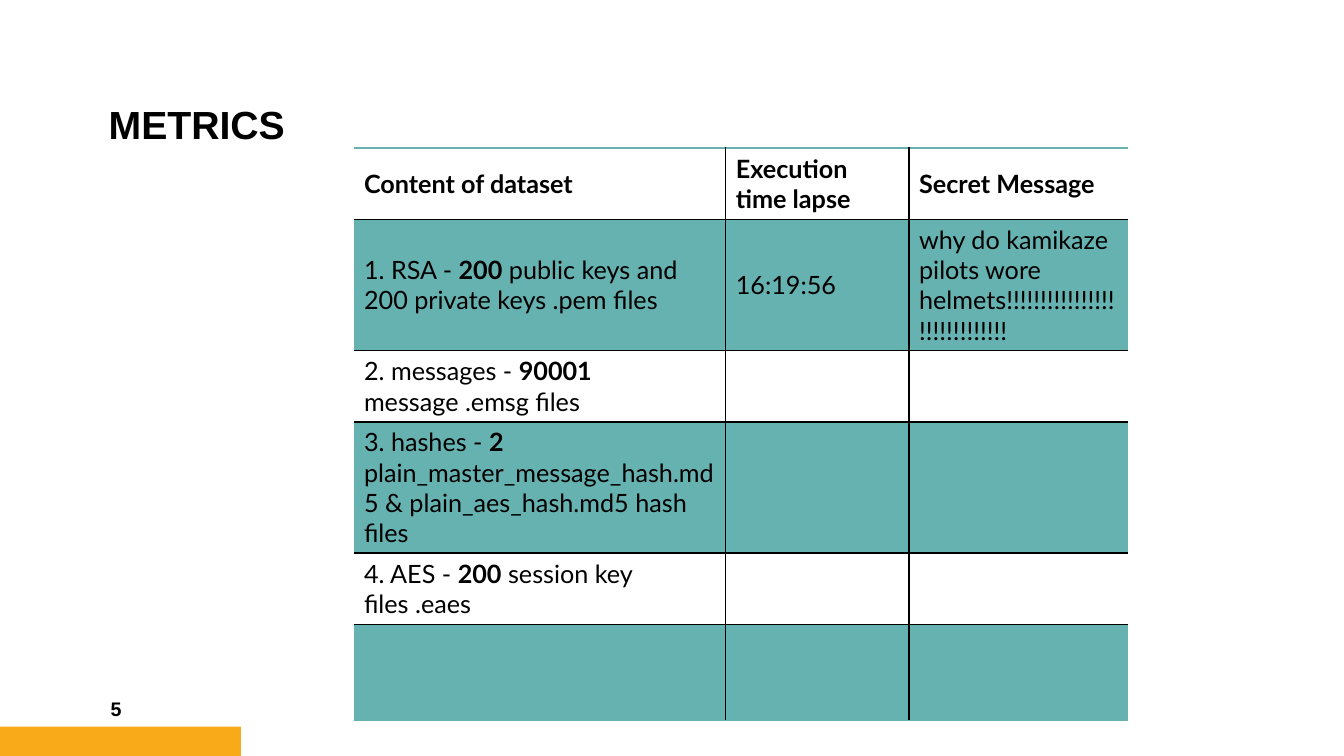
import pptx
import pptx.dml.color
import pptx.enum.shapes
import pptx.enum.text
import pptx.oxml
import pptx.oxml.ns
import pptx.util

Cm = pptx.util.Cm
Pt = pptx.util.Pt
RGBColor = pptx.dml.color.RGBColor
ANCHOR = pptx.enum.text.MSO_ANCHOR

BLACK = RGBColor(0x00, 0x00, 0x00)
ORANGE = RGBColor(0xF9, 0xAA, 0x19)
TEAL = RGBColor(0x66, 0xB2, 0xB0)

COLUMN_WIDTHS = [9.37, 4.62, 5.52]
ROW_HEIGHTS = [1.8, 3.3, 1.8, 3.3, 1.8, 2.41]

# Each cell is a list of (text, bold) runs.
METRICS = [
    [
        [("Content of dataset", True)],
        [("Execution time lapse", True)],
        [("Secret Message", True)],
    ],
    [
        [("1. RSA - ", False), ("200", True),
         (" public keys and 200 private keys .pem files", False)],
        [("16:19:56", False)],
        [("why do kamikaze pilots wore helmets!!!!!!!!!!!!!!!!!!!!!!!!!!!!!", False)],
    ],
    [[("2. messages - ", False), ("90001", True), (" message .emsg files", False)], [], []],
    [[("3. hashes - ", False), ("2", True),
      (" plain_master_message_hash.md5 & plain_aes_hash.md5 hash files", False)], [], []],
    [[("4. AES - ", False), ("200", True), (" session key files .eaes", False)], [], []],
    [[], [], []],
]


class MetricsSlide:
    heading_font = "Arial"
    table_font = "Lato"

    def __init__(self, presentation):
        self.slide = presentation.slides.add_slide(presentation.slide_layouts[6])

    def add_runs(self, paragraph, runs, font_name, size):
        for text, bold in runs:
            run = paragraph.add_run()
            run.text = text
            run.font.name = font_name
            run.font.size = Pt(size)
            run.font.bold = bold
            run.font.color.rgb = BLACK

    def bar(self, left, top, width, height, color):
        bar = self.slide.shapes.add_shape(
            pptx.enum.shapes.MSO_SHAPE.RECTANGLE, Cm(left), Cm(top), Cm(width), Cm(height))
        bar.shadow.inherit = False
        bar.fill.solid()
        bar.fill.fore_color.rgb = color
        bar.line.fill.background()

    def heading(self, text, left, top, width, height, size, anchor, line_spacing=1.0):
        frame = self.slide.shapes.add_textbox(
            Cm(left), Cm(top), Cm(width), Cm(height)).text_frame
        frame.word_wrap = True
        frame.vertical_anchor = anchor
        paragraph = frame.paragraphs[0]
        paragraph.line_spacing = line_spacing
        self.add_runs(paragraph, [(text, True)], self.heading_font, size)

    def border(self, cell, side, color):
        """Draw one side (L, R, T or B) of a cell, or clear it when color is None."""
        paint = (f'<a:solidFill><a:srgbClr val="{color}"/></a:solidFill>'
                 if color is not None else "<a:noFill/>")
        cell._tc.get_or_add_tcPr().append(pptx.oxml.parse_xml(
            f'<a:ln{side} {pptx.oxml.ns.nsdecls("a")} w="{Pt(1)}">{paint}</a:ln{side}>'))

    def tint(self, cell, color, opacity):
        cell.fill.solid()
        cell.fill.fore_color.rgb = color
        shade = cell._tc.tcPr.find(".//" + pptx.oxml.ns.qn("a:srgbClr"))
        shade.append(pptx.oxml.parse_xml(
            f'<a:alpha {pptx.oxml.ns.nsdecls("a")} val="{opacity * 1000}"/>'))

    def table(self, rows, left, top, widths, heights):
        table = self.slide.shapes.add_table(
            len(rows), len(widths), Cm(left), Cm(top),
            Cm(sum(widths)), Cm(sum(heights))).table
        table.first_row = False
        table.horz_banding = False
        for column, width in zip(table.columns, widths):
            column.width = Cm(width)
        for row, height in zip(table.rows, heights):
            row.height = Cm(height)

        last_row, last_column = len(rows) - 1, len(widths) - 1
        for r, row in enumerate(rows):
            for c, runs in enumerate(row):
                cell = table.cell(r, c)
                cell.vertical_anchor = ANCHOR.MIDDLE
                self.add_runs(cell.text_frame.paragraphs[0], runs, self.table_font, 18)
                self.border(cell, "L", BLACK if c > 0 else None)
                self.border(cell, "R", BLACK if c < last_column else None)
                self.border(cell, "T", BLACK if r > 0 else TEAL)
                self.border(cell, "B", BLACK if r < last_row else TEAL)
                if r % 2:
                    self.tint(cell, TEAL, 20)
                else:
                    cell.fill.background()


def main():
    presentation = pptx.Presentation()
    presentation.slide_width = Cm(33.87)
    presentation.slide_height = Cm(19.05)

    metrics = MetricsSlide(presentation)
    metrics.bar(0, 18.31, 6.07, 0.74, ORANGE)
    metrics.heading("METRICS", 2.49, 0.38, 17.15, 3.48, 28, ANCHOR.BOTTOM, 0.9)
    metrics.heading("5", 2.54, 17.35, 3.3, 1.02, 14, ANCHOR.MIDDLE)
    metrics.table(METRICS, 8.92, 3.73, COLUMN_WIDTHS, ROW_HEIGHTS)

    presentation.save("out.pptx")


if __name__ == "__main__":
    main()
